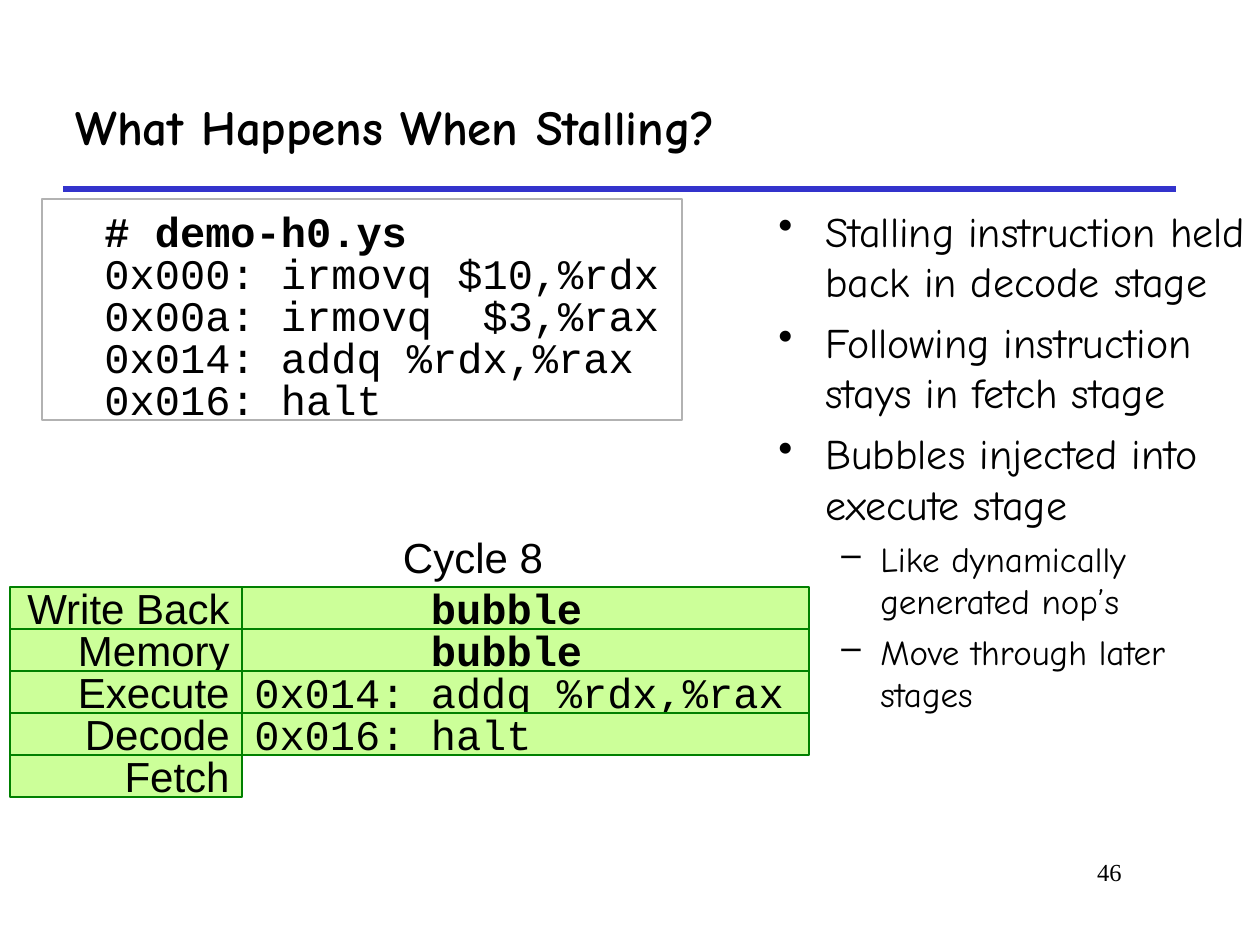
from lxml.etree import SubElement
from pptx import Presentation
from pptx.dml.color import RGBColor
from pptx.enum.shapes import MSO_CONNECTOR, MSO_SHAPE
from pptx.enum.text import MSO_ANCHOR, PP_ALIGN
from pptx.oxml.ns import qn
from pptx.util import Emu, Pt

EMU_PER_PX = 914400 / 126


def px(length):
    return Emu(round(length * EMU_PER_PX))


def color(value):
    return RGBColor.from_string(value)


class SlideBuilder:
    INK = "000000"
    HEADING = "Comic Neue"
    LABEL = "Arial"
    CODE = "Courier New"

    def __init__(self, page):
        self.page = page

    def style(self, para, font, size, bold=False, align=PP_ALIGN.LEFT):
        para.alignment = align
        for span in para.runs:
            span.font.name = font
            span.font.size = Pt(size)
            span.font.bold = bold
            span.font.color.rgb = color(self.INK)

    def set_text(self, shape, text, font, size=24, bold=False,
                 align=PP_ALIGN.LEFT, anchor=MSO_ANCHOR.MIDDLE):
        frame = shape.text_frame
        frame.text = text
        frame.word_wrap = True
        frame.vertical_anchor = anchor
        self.style(frame.paragraphs[0], font, size, bold, align)

    def title(self, text, left, top, width, height):
        title = self.page.shapes.title
        title.left, title.top = px(left), px(top)
        title.width, title.height = px(width), px(height)
        self.set_text(title, text, self.HEADING, 28, True)

    def rule(self, left, right, y, line, weight):
        rule = self.page.shapes.add_connector(
            MSO_CONNECTOR.STRAIGHT, px(left), px(y), px(right), px(y))
        rule.line.color.rgb = color(line)
        rule.line.width = Pt(weight)
        SubElement(rule._element.spPr, qn("a:effectLst"))

    def rect(self, left, top, width, height, fill=None, line=None, weight=1):
        rect = self.page.shapes.add_shape(
            MSO_SHAPE.RECTANGLE, px(left), px(top), px(width), px(height))
        rect.shadow.inherit = False
        if fill:
            rect.fill.solid()
            rect.fill.fore_color.rgb = color(fill)
        else:
            rect.fill.background()
        if line:
            rect.line.color.rgb = color(line)
            rect.line.width = Pt(weight)
        else:
            rect.line.fill.background()
        return rect

    def stage(self, left, top, width, height):
        return self.rect(left, top, width, height, "CCFF99", "008000")

    def text(self, left, top, width, height):
        return self.page.shapes.add_textbox(
            px(left), px(top), px(width), px(height))

    def bullets(self, items, left, top, width, height):
        # Marker, left margin, hanging indent, size and space before, by level
        levels = (("•", 47, 47, 24, 6), ("–", 102, 39, 20, 5))
        frame = self.text(left, top, width, height).text_frame
        frame.word_wrap = True
        for index, (level, text) in enumerate(items):
            marker, margin, hanging, size, space = levels[level]
            para = frame.paragraphs[0] if index == 0 else frame.add_paragraph()
            para.text = text
            para.level = level
            properties = para._p.get_or_add_pPr()
            properties.set("marL", str(px(margin)))
            properties.set("indent", str(-px(hanging)))
            tint = SubElement(properties, qn("a:buClr"))
            SubElement(tint, qn("a:srgbClr"), val=self.INK)
            SubElement(properties, qn("a:buChar"), char=marker)
            if index:
                para.space_before = Pt(space)
            self.style(para, self.HEADING, size)


def main():
    deck = Presentation()
    deck.slide_width, deck.slide_height = px(1260), px(945)
    build = SlideBuilder(deck.slides.add_slide(deck.slide_layouts[5]))

    # Heading, rule and page number
    build.rule(63, 1176, 189, "3333CC", 3)
    build.title("What Happens When Stalling?", 63, 63, 1113, 126)
    build.set_text(build.text(955, 851, 179, 63), "46", "Times New Roman", 14,
                   align=PP_ALIGN.RIGHT, anchor=MSO_ANCHOR.TOP)

    # Explanation
    build.bullets([
        (0, "Stalling instruction held back in decode stage"),
        (0, "Following instruction stays in fetch stage"),
        (0, "Bubbles injected into execute stage"),
        (1, "Like dynamically generated nop’s"),
        (1, "Move through later stages"),
    ], 766, 199, 494, 651)

    # Program listing
    row_height = 42
    build.rect(42, 199, 640, 221, line="B2B2B2", weight=1.5)
    listing = ("# demo-h0.ys", "0x000: irmovq $10,%rdx",
               "0x00a: irmovq  $3,%rax", "0x014: addq %rdx,%rax",
               "0x016: halt")
    for row, code in enumerate(listing):
        box = build.text(92, 210 + row * row_height, 573, row_height)
        build.set_text(box, code, build.CODE, bold=row == 0)
        box.text_frame.margin_right = 0

    # Pipeline stages and what each one holds
    cycle = build.rect(242, 536, 462, row_height, fill="FFFFFF")
    build.set_text(cycle, "Cycle 8", build.LABEL, align=PP_ALIGN.CENTER)
    stages = (("Write Back", "bubble"), ("Memory", "bubble"),
              ("Execute", "0x014: addq %rdx,%rax"),
              ("Decode", "0x016: halt"), ("Fetch", None))
    for row, (name, content) in enumerate(stages):
        top = 587 + row * row_height
        label = build.stage(10, top, 232, row_height)
        build.set_text(label, name, build.LABEL, align=PP_ALIGN.RIGHT)
        if content:
            is_bubble = content == "bubble"
            cell = build.stage(242, top, 567, row_height)
            build.set_text(cell, content, build.CODE, bold=is_bubble)
            if is_bubble:
                cell.text_frame.margin_left = px(189)

    deck.save("out.pptx")


if __name__ == "__main__":
    main()
